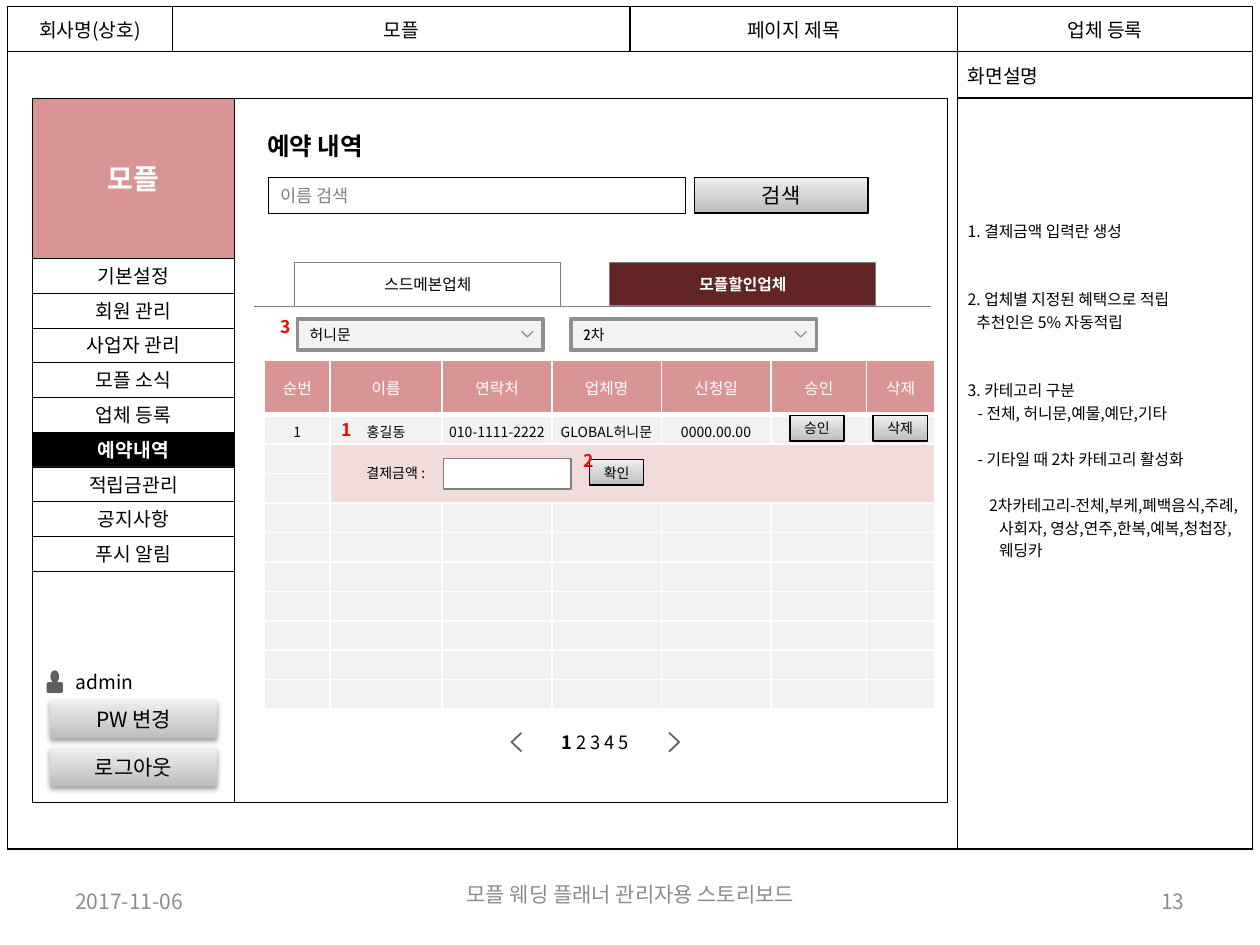
from typing import NamedTuple, Optional
from lxml.etree import SubElement
from pptx import Presentation
from pptx.dml.color import RGBColor
from pptx.enum.shapes import MSO_CONNECTOR, MSO_SHAPE as Shape
from pptx.enum.text import MSO_ANCHOR as Anchor, PP_ALIGN as Align
from pptx.oxml import parse_xml
from pptx.oxml.ns import nsdecls, qn
from pptx.util import Emu, Pt

FONT, BRAND = "Noto Sans CJK KR", "모플"
BLACK, WHITE, GRAY, RED = "000000", "FFFFFF", "808080", "FF0000"
ROSE, PALE_ROSE, WINE, PALE = "D99593", "F2DCDB", "632523", "F2F2F2"
FOOTER, ICON, FIELD = "8C8C8C", "5F5F5F", "8F8F8F"
NOTE_LINE = 13

class Box(NamedTuple):
    """Place on a grid of 1000 columns by 750 rows."""
    x: float
    y: float
    w: float
    h: float

class Style(NamedTuple):
    size: float = 11
    color: str = BLACK
    bold: bool = False
    align: Align = Align.CENTER
    font: str = FONT

class Note(NamedTuple):
    text: str
    lines_before: int = 0
    margin: float = 0
    indent: float = 0

def u(n: float) -> Emu:
    """Grid units to EMU."""
    return Emu(round(n * 9144))

def rgb(color: str) -> RGBColor:
    return RGBColor.from_string(color)

def fill_solid(fill, color: Optional[str]):
    if color:
        fill.solid()
        fill.fore_color.rgb = rgb(color)
    else:
        fill.background()

def style_paragraph(p, st: Style):
    p.alignment = st.align
    f = p.font
    f.size, f.bold, f.name = Pt(st.size), st.bold, st.font
    f.color.rgb = rgb(st.color)
    SubElement(p._p.pPr.find(qn("a:defRPr")), qn("a:ea"), typeface=FONT)

def write(tf, text: str, st: Style, anchor=Anchor.MIDDLE, wrap=True):
    tf.word_wrap, tf.vertical_anchor = wrap, anchor
    p = tf.paragraphs[0]
    p.text = text
    style_paragraph(p, st)
    return p

def write_cell(cell, text: str, st: Style, anchor=Anchor.MIDDLE):
    write(cell.text_frame, text, st)
    cell.vertical_anchor = anchor

def paint(s, fill: Optional[str], line: Optional[str], width: float):
    s.shadow.inherit = False
    fill_solid(s.fill, fill)
    fill_solid(s.line.fill, line)
    if line:
        s.line.width = Pt(width)

def add_box(box: Box, fill=None, line=BLACK, width=0.25, text="", st=Style(), kind=Shape.RECTANGLE):
    s = shapes.add_shape(kind, *map(u, box))
    paint(s, fill, line, width)
    if text:
        write(s.text_frame, text, st)
    return s

def add_text(box: Box, text: str, st: Style, anchor=Anchor.TOP, wrap=True):
    return write(shapes.add_textbox(*map(u, box)).text_frame, text, st, anchor, wrap)

def add_path(points, fill, line, width):
    """Open outline through grid points."""
    (x, y), *rest = points
    builder = shapes.build_freeform(u(x), u(y))
    builder.add_line_segments([(u(a), u(b)) for a, b in rest], close=False)
    s = builder.convert_to_shape()
    paint(s, fill, line, width)
    return s

def add_button(box: Box, text: str, size: float, raised=False):
    s = add_box(box, line=None if raised else BLACK, width=0.75, text=text, st=Style(size))
    s.text_frame.margin_left = s.text_frame.margin_right = 0
    s.fill.gradient()
    s.fill.gradient_angle = 90
    for stop, color, pos in zip(s.fill.gradient_stops, ("BDBDBD", "EEEEEE"), (0, 1)):
        stop.color.rgb, stop.position = rgb(color), pos
    if raised:
        s._element.spPr.find(qn("a:effectLst")).append(parse_xml(
            f'<a:outerShdw {nsdecls("a")} blurRad="40000" dist="20000" dir="5400000" rotWithShape="0">'
            '<a:srgbClr val="000000"><a:alpha val="38000"/></a:srgbClr></a:outerShdw>'))

def add_dropdown(x: float, text: str):
    st = Style(8.5, align=Align.LEFT, font="Cabin")
    s = add_box(Box(x, 253, 195, 25), PALE, FIELD, 2, text, st)
    s.text_frame.margin_right = u(25)
    add_path([(x + 178, 263), (x + 182.5, 267.5), (x + 187, 263)], None, FIELD, 0.75)

def add_grid(box: Box, cols, rows):
    tbl = shapes.add_table(len(rows), len(cols), *map(u, box)).table
    tbl.first_row = tbl.horz_banding = False
    for col, w in zip(tbl.columns, cols):
        col.width = u(w)
    for row, h in zip(tbl.rows, rows):
        row.height = u(h)
    return tbl

def format_cell(cell, color: str, fill: Optional[str] = None, bottom=1):
    """Borders on four sides, then the fill, as the schema orders them."""
    for side, width in zip("LRTB", (1, 1, 1, bottom)):
        cell._tc.get_or_add_tcPr().append(parse_xml(
            f'<a:ln{side} {nsdecls("a")} w="{width * 12700}"><a:solidFill>'
            f'<a:srgbClr val="{color}"/></a:solidFill></a:ln{side}>'))
    fill_solid(cell.fill, fill)

prs = Presentation()
prs.slide_width, prs.slide_height = u(1000), u(750)
shapes = prs.slides.add_slide(prs.slide_layouts[5]).shapes
title = shapes.title
title.left, title.top, title.width, title.height = map(u, Box(202, 99, 249, 34))
write(title.text_frame, "예약 내역", Style(14, bold=True, align=Align.LEFT), Anchor.TOP)

# Storyboard sheet
sheet = add_grid(Box(6, 5, 988, 669), (131, 363, 260, 234), (36, 37, 596))
for cell in sheet.iter_cells():
    format_cell(cell, BLACK)
    cell.margin_left = cell.margin_right = u(8)
sheet.cell(1, 0).merge(sheet.cell(2, 2))
for c, text in enumerate(("회사명(상호)", BRAND, "페이지 제목", "업체 등록")):
    write_cell(sheet.cell(0, c), text, Style())
write_cell(sheet.cell(1, 3), "화면설명", Style(align=Align.LEFT))

NOTES = (
    Note("1. 결제금액 입력란 생성"),
    Note("2. 업체별 지정된 혜택으로 적립", 2),
    Note("추천인은 5% 자동적립", margin=7),
    Note("3. 카테고리 구분", 2),
    Note("- 전체, 허니문,예물,예단,기타", margin=8),
    Note("- 기타일 때 2차 카테고리 활성화", 1, 8),
    Note("2차카테고리-전체,부케,폐백음식,주례,사회자, 영상,연주,한복,예복,청첩장,웨딩카", 1, 25, -8),
)
sheet.cell(2, 3).margin_top = u(96)
notes = sheet.cell(2, 3).text_frame
for i, note in enumerate(NOTES):
    p = notes.add_paragraph() if i else notes.paragraphs[0]
    p.text = note.text
    style_paragraph(p, Style(9, align=Align.LEFT))
    p.space_before = Pt(note.lines_before * NOTE_LINE)
    p._p.pPr.set("marL", str(u(note.margin)))
    p._p.pPr.set("indent", str(u(note.indent)))

# Side menu
add_box(Box(26, 78, 726, 559))
add_box(Box(26, 426, 160, 211))
add_box(Box(26, 78, 160, 127), ROSE, text=BRAND, st=Style(16, WHITE, True))
MENU = ("기본설정", "회원 관리", "사업자 관리", f"{BRAND} 소식", "업체 등록",
        "예약내역", "적립금관리", "공지사항", "푸시 알림")
for i, item in enumerate(MENU):
    active = item == "예약내역"
    add_box(Box(26, 205 + 27.6 * i, 160, 27.6), BLACK if active else WHITE, text=item,
            st=Style(color=WHITE if active else BLACK, bold=active))
add_box(Box(40, 532, 7, 10), ICON, None, kind=Shape.OVAL)
add_box(Box(37, 541.5, 13, 8.5), ICON, None, kind=Shape.ROUNDED_RECTANGLE)
add_text(Box(50, 527, 135, 28), "admin", Style(align=Align.LEFT), Anchor.MIDDLE)
for y, text in ((556, "PW 변경"), (594, "로그아웃")):
    add_button(Box(40, y, 132, 30), text, 12, raised=True)

# Reservation list
HEADS = ("순번", "이름", "연락처", "업체명", "신청일", "승인", "삭제")
ENTRY = ("1", "홍길동", "010-1111-2222", "GLOBAL허니문", "0000.00.00", "", "")
listing = add_grid(Box(210, 286, 532, 277), (52, 89, 87, 87, 87, 76, 54), [43] + [23.4] * 10)
for r in range(11):
    for c in range(7):
        cell = listing.cell(r, c)
        cell.margin_left = cell.margin_right = 0
        cell.margin_top, cell.margin_bottom = u(5), u(2 if r else 5)
        detail = r in (2, 3) and c > 0
        format_cell(cell, WHITE, PALE_ROSE if detail else PALE if r else ROSE, 1 if r else 3)
        text = (HEADS, ENTRY)[r][c] if r < 2 else ""
        if text:
            write_cell(cell, text, Style(8) if r else Style(9, WHITE), Anchor.TOP if r else Anchor.MIDDLE)
        else:
            SubElement(cell.text_frame.paragraphs[0]._p, qn("a:endParaRPr"), sz="800")
listing.cell(2, 1).merge(listing.cell(3, 6))

# Search, tabs and filters
add_box(Box(213, 141, 331, 28), WHITE, text="이름 검색", st=Style(10, GRAY, align=Align.LEFT))
add_button(Box(551, 141, 138, 28), "검색", 12)
rule = shapes.add_connector(MSO_CONNECTOR.STRAIGHT, u(202), u(243), u(739), u(243))
rule.line.color.rgb, rule.line.width = rgb(GRAY), Pt(0.5)
SubElement(rule._element.spPr, qn("a:effectLst"))
tab = add_path([(234, 243), (234, 208), (445, 208), (445, 243)], WHITE, GRAY, 0.5)
write(tab.text_frame, "스드메본업체", Style(9, font="Cabin"))
add_box(Box(484, 208, 211, 34.5), WINE, GRAY, 0.5, f"{BRAND}할인업체", Style(9, WHITE, True, font="Cabin"))
add_dropdown(236, "허니문")
add_dropdown(453, "2차")

# Payment entry
add_text(Box(281, 364, 72, 24), "결제금액 :", Style(8, align=Align.LEFT), wrap=False)
add_box(Box(352, 364, 101, 24), WHITE, GRAY, 1)
for x, y, text in ((627, 330, "승인"), (693, 330, "삭제"), (468, 365, "확인")):
    add_button(Box(x, y, 43, 20), text, 8)
for x, y, number in ((261, 328, "1"), (453, 352, "2"), (213, 246, "3")):
    add_text(Box(x, y, 28, 27), number, Style(10, RED, True, Align.LEFT), wrap=False)

# Pager and footer
for back, tip in ((414, 406), (531, 539)):
    add_path([(back, 581.5), (tip, 589), (back, 596.5)], None, ICON, 1)
pager = add_text(Box(416, 575, 113, 29), "1", Style(10.5))
pager.runs[0].font.bold = True
pager.add_run().text = " 2 3 4 5"
for box, text, align in ((Box(50, 695, 233, 40), "2017-11-06", Align.LEFT),
                         (Box(342, 690, 317, 40), f"{BRAND} 웨딩 플래너 관리자용 스토리보드", Align.CENTER),
                         (Box(717, 695, 233, 40), "13", Align.RIGHT)):
    add_text(box, text, Style(12, FOOTER, align=align), Anchor.MIDDLE)
prs.save("out.pptx")
